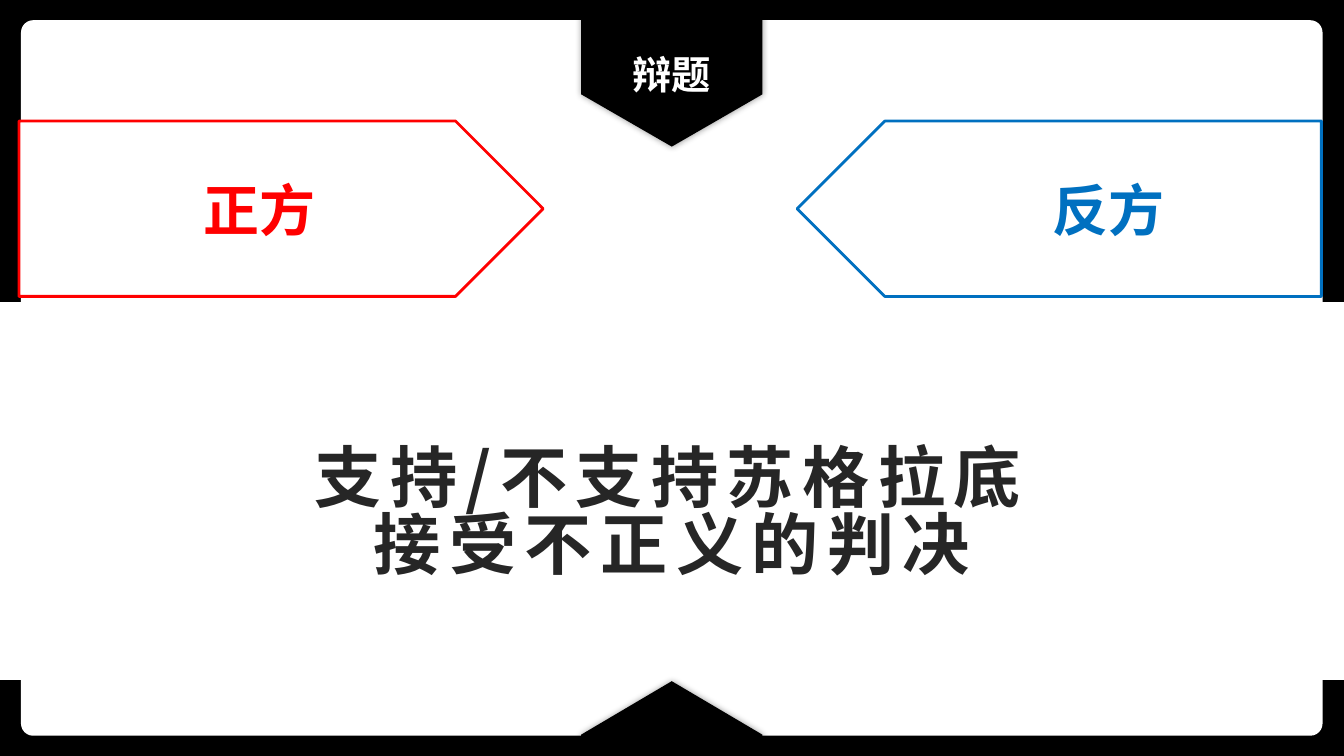
from dataclasses import dataclass
from typing import NamedTuple

from lxml.etree import SubElement
from pptx import Presentation
from pptx.dml.color import RGBColor
from pptx.enum.shapes import MSO_SHAPE as Preset
from pptx.enum.text import MSO_ANCHOR as Anchor, PP_ALIGN as Align
from pptx.oxml.ns import qn
from pptx.util import Cm, Pt


@dataclass(frozen=True)
class Theme:
    font: str = "Noto Sans CJK SC"
    black: str = "000000"
    white: str = "FFFFFF"
    ink: str = "262626"
    red: str = "FF0000"
    blue: str = "0070C0"
    title_size: int = 48
    side_size: int = 40
    tag_size: int = 28


class Frame(NamedTuple):
    left: float
    top: float
    width: float
    height: float

    def lengths(self) -> list:
        return [Cm(value) for value in self]


class Block(NamedTuple):
    preset: Preset
    frame: Frame
    fill: str
    line: str = ""
    weight: float = 1
    turn: int = 0
    adjust: float | None = None
    shadow: bool = False


class Label(NamedTuple):
    text: str
    frame: Frame
    size: int
    color: str


THEME = Theme()
WIDTH, HEIGHT = 33.87, 19.05
SIDE_TOP, SIDE_WIDTH, SIDE_HEIGHT, SIDE_MARGIN = 3.05, 13.21, 4.42, 0.48


def add_shadow(shape) -> None:
    effects = shape._element.spPr.find(qn("a:effectLst"))
    outer = SubElement(effects, qn("a:outerShdw"), blurRad=str(Pt(5)),
                       dist="0", dir="0", algn="ctr", rotWithShape="0")
    color = SubElement(outer, qn("a:srgbClr"), val=THEME.black)
    SubElement(color, qn("a:alpha"), val="40000")


def draw_block(page, block: Block):
    shape = page.shapes.add_shape(block.preset, *block.frame.lengths())
    shape.shadow.inherit = False
    shape.rotation = block.turn
    if block.adjust is not None:
        shape.adjustments[0] = block.adjust
    shape.fill.solid()
    shape.fill.fore_color.rgb = RGBColor.from_string(block.fill)
    if block.line:
        shape.line.color.rgb = RGBColor.from_string(block.line)
        shape.line.width = Pt(block.weight)
    else:
        shape.line.fill.background()
    if block.shadow:
        add_shadow(shape)
    return shape


def write(shape, text: str, *, size: int, color: str, anchor=Anchor.TOP,
          tracking: float = 0, line_spacing: float = 1) -> None:
    box = shape.text_frame
    box.word_wrap = True
    box.vertical_anchor = anchor
    para = box.paragraphs[0]
    para.alignment = Align.CENTER
    para.line_spacing = line_spacing
    span = para.add_run()
    span.text = text
    span.font.size = Pt(size)
    span.font.bold = True
    span.font.name = THEME.font
    span.font.color.rgb = RGBColor.from_string(color)
    props = span.font._element
    SubElement(props, qn("a:ea"), typeface=THEME.font)
    if tracking:
        props.set("spc", str(int(tracking * 100)))


def draw_label(page, label: Label) -> None:
    box = page.shapes.add_textbox(*label.frame.lengths())
    write(box, label.text, size=label.size, color=label.color)


def side_frame(left: float) -> Frame:
    return Frame(left, SIDE_TOP, SIDE_WIDTH, SIDE_HEIGHT)


deck = Presentation()
deck.slide_width, deck.slide_height = Cm(WIDTH), Cm(HEIGHT)
page = deck.slides.add_slide(deck.slide_layouts[6])

# Black border, white panel and the two centre notches
for block in (
    Block(Preset.RECTANGLE, Frame(0, 0, WIDTH, 7.6), THEME.black, THEME.black),
    Block(Preset.RECTANGLE, Frame(0, 17.15, WIDTH, 1.9), THEME.black, THEME.black),
    Block(Preset.ROUNDED_RECTANGLE, Frame(0.53, 0.51, 32.8, 18.03), THEME.white,
          adjust=0.017),
    Block(Preset.PENTAGON, Frame(15.09, -0.43, 3.68, 4.57), THEME.black,
          turn=90, adjust=0.358, shadow=True),
    Block(Preset.PENTAGON, Frame(16.09, 15.72, 1.68, 4.57), THEME.black,
          turn=270, adjust=0.802, shadow=True),
):
    draw_block(page, block)

# Motion under debate
title = page.shapes.add_textbox(*Frame(7.21, 9.6, 19.46, 5.08).lengths())
title.text_frame.margin_bottom = 0
write(title, "支持/不支持苏格拉底接受不正义的判决", size=THEME.title_size,
      color=THEME.ink, anchor=Anchor.BOTTOM, tracking=6, line_spacing=0.83)

# The two sides, pointing at each other
pro = draw_block(page, Block(Preset.PENTAGON, side_frame(SIDE_MARGIN),
                             THEME.white, THEME.red, weight=2))
write(pro, "正方", size=THEME.side_size, color=THEME.red, anchor=Anchor.MIDDLE)
draw_block(page, Block(Preset.PENTAGON, side_frame(20.09), THEME.white,
                       THEME.blue, weight=2, turn=180))

# Labels over the right side and the top notch
for label in (
    Label("反方", Frame(25.98, 4.29, 3.91, 1.96), THEME.side_size, THEME.blue),
    Label("辩题", Frame(15.52, 1.14, 2.82, 1.45), THEME.tag_size, THEME.white),
):
    draw_label(page, label)

deck.save("out.pptx")
